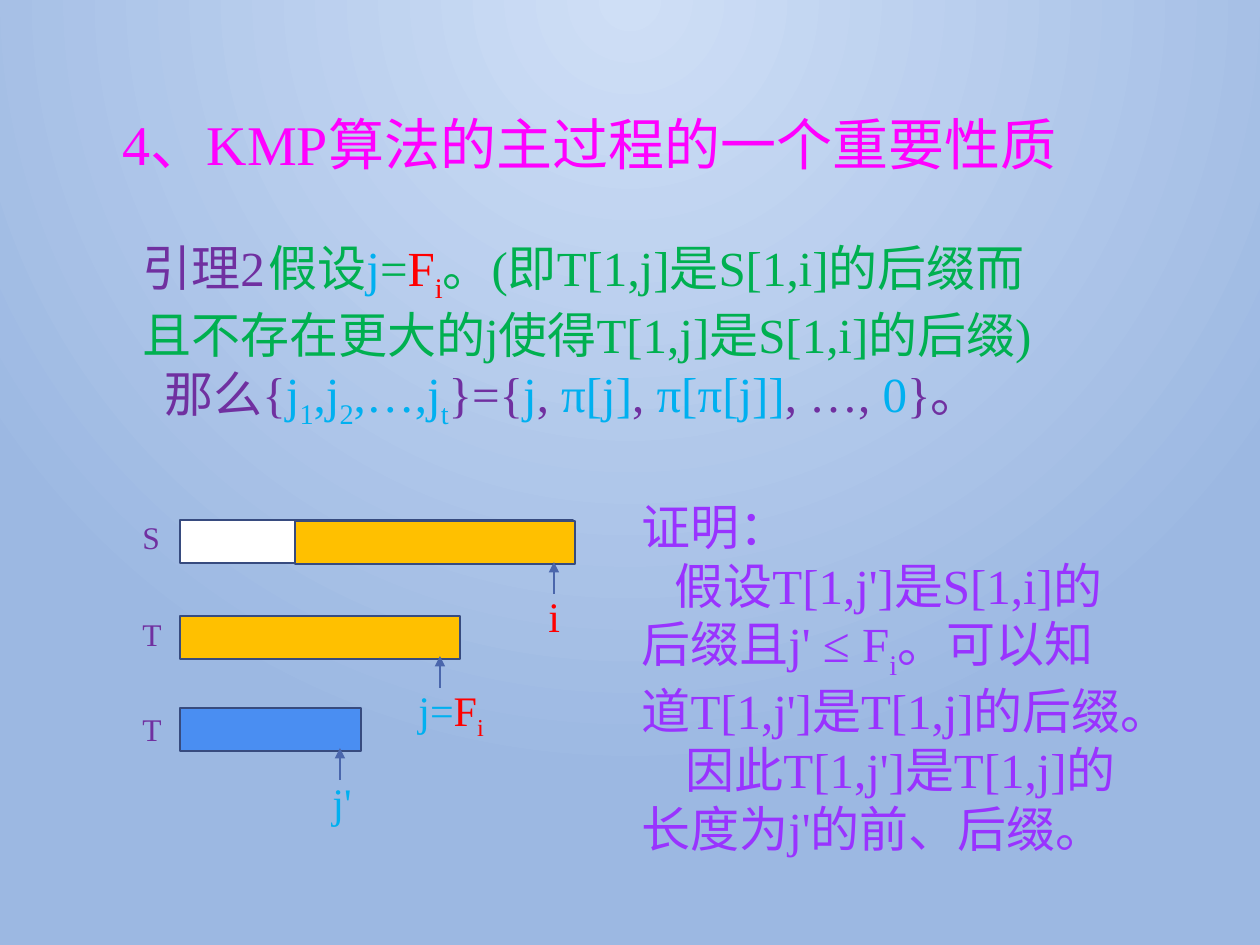
from dataclasses import dataclass
from typing import NamedTuple

from lxml import etree
from pptx import Presentation
from pptx import util as u
from pptx.dml.color import RGBColor
from pptx.enum import shapes, text
from pptx.oxml.ns import qn

PX = u.Inches(1) / 126


@dataclass(frozen=True)
class Theme:
    font: str = "Times New Roman"
    title_pt: int = 32
    body_pt: int = 28
    marker_pt: int = 24
    label_pt: int = 18
    glow: str = "CFDFF6"
    back: str = "9CB8E2"
    magenta: str = "FF00FF"
    purple: str = "7030A0"
    violet: str = "9933FF"
    green: str = "00B050"
    cyan: str = "00B0F0"
    red: str = "FF0000"
    white: str = "FFFFFF"
    gold: str = "FFC000"
    blue: str = "4A8EF2"
    outline: str = "374B7F"
    arrow: str = "4A66AC"


T = Theme()


class Run(NamedTuple):
    text: str
    color: str
    sub: bool = False


class Para(NamedTuple):
    runs: list[Run]
    indent: int = 0
    tab: int = 0


class Bar(NamedTuple):
    x: int
    y: int
    w: int
    color: str


class Row(NamedTuple):
    """One string: its label, bars, and the index arrow below with its marker."""
    label: str
    label_y: int
    bars: list[Bar]
    arrow_x: int
    tip_y: int
    marker: list[Run]
    marker_x: int
    marker_w: int


F_I = [Run("F", T.red), Run("i", T.red, True)]

TITLE = [Para([Run("4、KMP算法的主过程的一个重要性质", T.magenta)])]
LEMMA = [
    Para([Run("引理2\t", T.purple), Run("假设", T.green), Run("j", T.cyan),
          Run("=", T.green), *F_I,
          Run("。(即T[1,j]是S[1,i]的后缀而且不存在更大的j使得T[1,j]是S[1,i]的后缀)", T.green)],
         tab=195),
    Para([Run("那么{", T.purple),
          Run("j", T.cyan), Run("1", T.cyan, True),
          Run(",j", T.cyan), Run("2", T.cyan, True),
          Run(",…,j", T.cyan), Run("t", T.cyan, True),
          Run("}={", T.purple), Run("j", T.cyan), Run(", ", T.purple),
          Run("π[j]", T.cyan), Run(", ", T.purple), Run("π[π[j]]", T.cyan),
          Run(", …, ", T.purple), Run("0", T.cyan), Run("}。", T.purple)],
         indent=22),
]
PROOF = [
    Para([Run("证明：", T.violet)]),
    Para([Run("假设T[1,j']是S[1,i]的后缀且j' ≤ F", T.violet), Run("i", T.violet, True),
          Run("。可以知道T[1,j']是T[1,j]的后缀。", T.violet)], indent=33),
    Para([Run("因此T[1,j']是T[1,j]的长度为j'的前、后缀。", T.violet)], indent=44),
]
ROWS = [
    Row("S", 512, [Bar(180, 520, 393, T.white), Bar(295, 521, 280, T.gold)],
        554, 562, [Run("i", T.red)], 536, 39),
    Row("T", 609, [Bar(180, 616, 280, T.gold)],
        440, 656, [Run("j=", T.cyan), *F_I], 406, 121),
    Row("T", 704, [Bar(180, 708, 181, T.blue)],
        340, 748, [Run("j'", T.cyan)], 320, 121),
]
BAR_H = 43
ARROW_H = 32
LABEL_X, LABEL_W, LABEL_H = 130, 39, 50
MARKER_GAP, MARKER_H = 22, 63


def px(n: int) -> int:
    return round(n * PX)


def apply(obj, values: dict) -> None:
    for name, value in values.items():
        setattr(obj, name, value)


def write(sp, paras: list[Para], pt: int, spacing: float = 1.0) -> None:
    tf = sp.text_frame
    apply(tf, {"word_wrap": True, "auto_size": text.MSO_AUTO_SIZE.NONE,
               "vertical_anchor": text.MSO_ANCHOR.TOP})
    for i, para in enumerate(paras):
        p = tf.add_paragraph() if i else tf.paragraphs[0]
        apply(p, {"alignment": text.PP_ALIGN.LEFT, "line_spacing": spacing,
                  "space_before": u.Pt(0)})
        props = p._p.get_or_add_pPr()
        props.set("marL", "0")
        props.set("indent", str(px(para.indent)))
        etree.SubElement(props, qn("a:buNone"))
        if para.tab:
            tabs = etree.SubElement(props, qn("a:tabLst"))
            etree.SubElement(tabs, qn("a:tab"), pos=str(px(para.tab)), algn="l")
        for run in para.runs:
            r = p.add_run()
            r.text = run.text
            apply(r.font, {"name": T.font, "size": u.Pt(pt)})
            r.font.color.rgb = RGBColor.from_string(run.color)
            if run.sub:
                r._r.get_or_add_rPr().set("baseline", "-25000")


def place(sp, x: int, y: int, w: int, h: int) -> None:
    apply(sp, {"left": px(x), "top": px(y), "width": px(w), "height": px(h)})


def add_label(group, runs: list[Run], pt: int, x: int, y: int, w: int, h: int) -> None:
    write(group.shapes.add_textbox(px(x), px(y), px(w), px(h)), [Para(runs)], pt)


def add_bar(group, bar: Bar) -> None:
    sp = group.shapes.add_shape(shapes.MSO_SHAPE.RECTANGLE,
                                px(bar.x), px(bar.y), px(bar.w), px(BAR_H))
    sp.shadow.inherit = False
    sp.fill.solid()
    sp.fill.fore_color.rgb = RGBColor.from_string(bar.color)
    sp.line.color.rgb = RGBColor.from_string(T.outline)
    sp.line.width = u.Pt(1.25)


def add_arrow(group, x: int, tip_y: int) -> None:
    c = group.shapes.add_connector(shapes.MSO_CONNECTOR.STRAIGHT,
                                   px(x), px(tip_y + ARROW_H), px(x), px(tip_y))
    c.line.color.rgb = RGBColor.from_string(T.arrow)
    c.line.width = u.Pt(0.75)
    etree.SubElement(c.line._get_or_add_ln(), qn("a:tailEnd"), type="triangle")
    etree.SubElement(c._element.spPr, qn("a:effectLst"))


def add_row(group, row: Row) -> None:
    for bar in row.bars:
        add_bar(group, bar)
    add_label(group, [Run(row.label, T.purple)], T.label_pt,
              LABEL_X, row.label_y, LABEL_W, LABEL_H)
    add_arrow(group, row.arrow_x, row.tip_y)
    add_label(group, row.marker, T.marker_pt,
              row.marker_x, row.tip_y + MARKER_GAP, row.marker_w, MARKER_H)


def paint_background(s) -> None:
    """Radial gradient that spreads from the top centre."""
    fill = s.background.fill
    fill.gradient()
    for stop, color in zip(fill.gradient_stops, (T.glow, T.back)):
        stop.color.rgb = RGBColor.from_string(color)
    grad = s._element.find(".//" + qn("a:gradFill"))
    grad.remove(grad.find(qn("a:lin")))
    circle = etree.SubElement(grad, qn("a:path"), {"path": "circle"})
    etree.SubElement(circle, qn("a:fillToRect"), l="43000", t="0", r="43000", b="100000")


def main() -> None:
    prs = Presentation()
    apply(prs, {"slide_width": px(1260), "slide_height": px(945)})
    s = prs.slides.add_slide(prs.slide_layouts[3])
    paint_background(s)
    title, lemma, proof = s.placeholders
    place(title, 110, 111, 995, 101)
    write(title, TITLE, T.title_pt, 0.9)
    place(lemma, 130, 231, 950, 190)
    write(lemma, LEMMA, T.body_pt)
    place(proof, 629, 490, 525, 369)
    write(proof, PROOF, T.body_pt)
    diagram = s.shapes.add_group_shape()
    for row in ROWS:
        add_row(diagram, row)
    prs.save("out.pptx")


if __name__ == "__main__":
    main()
